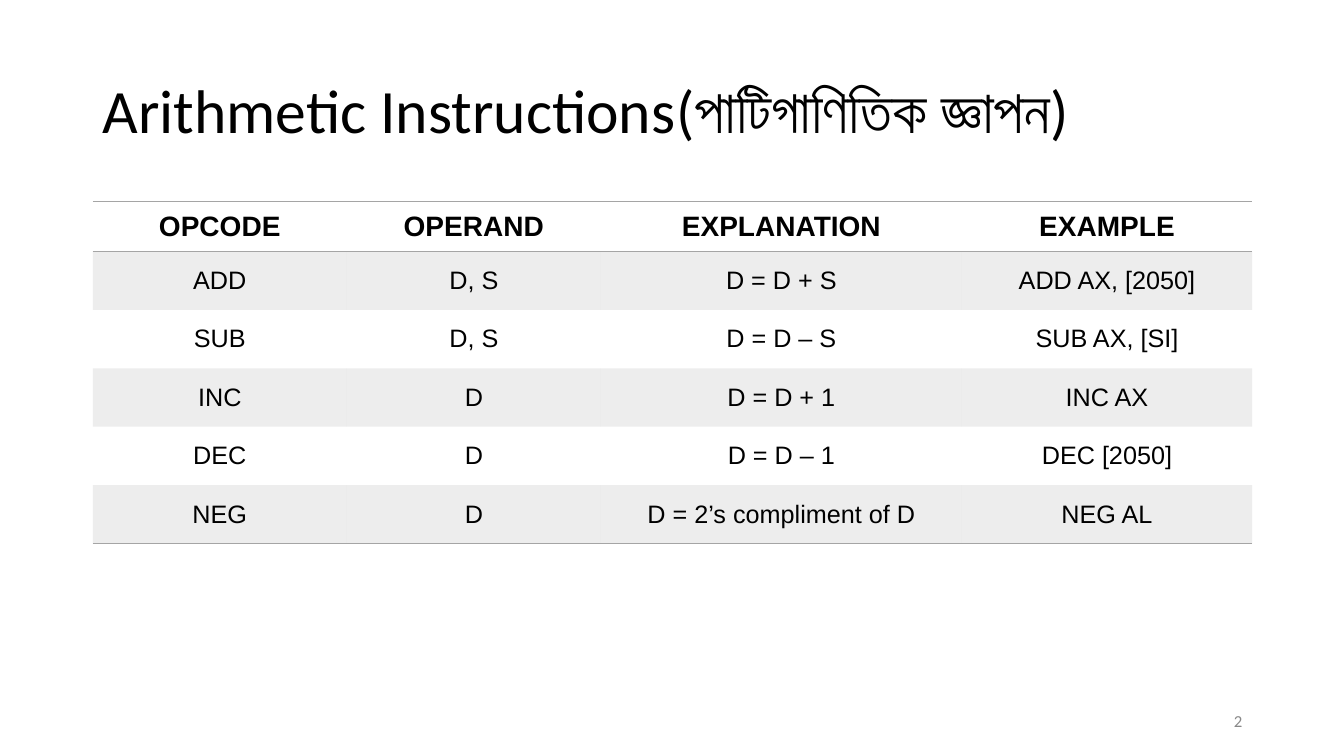
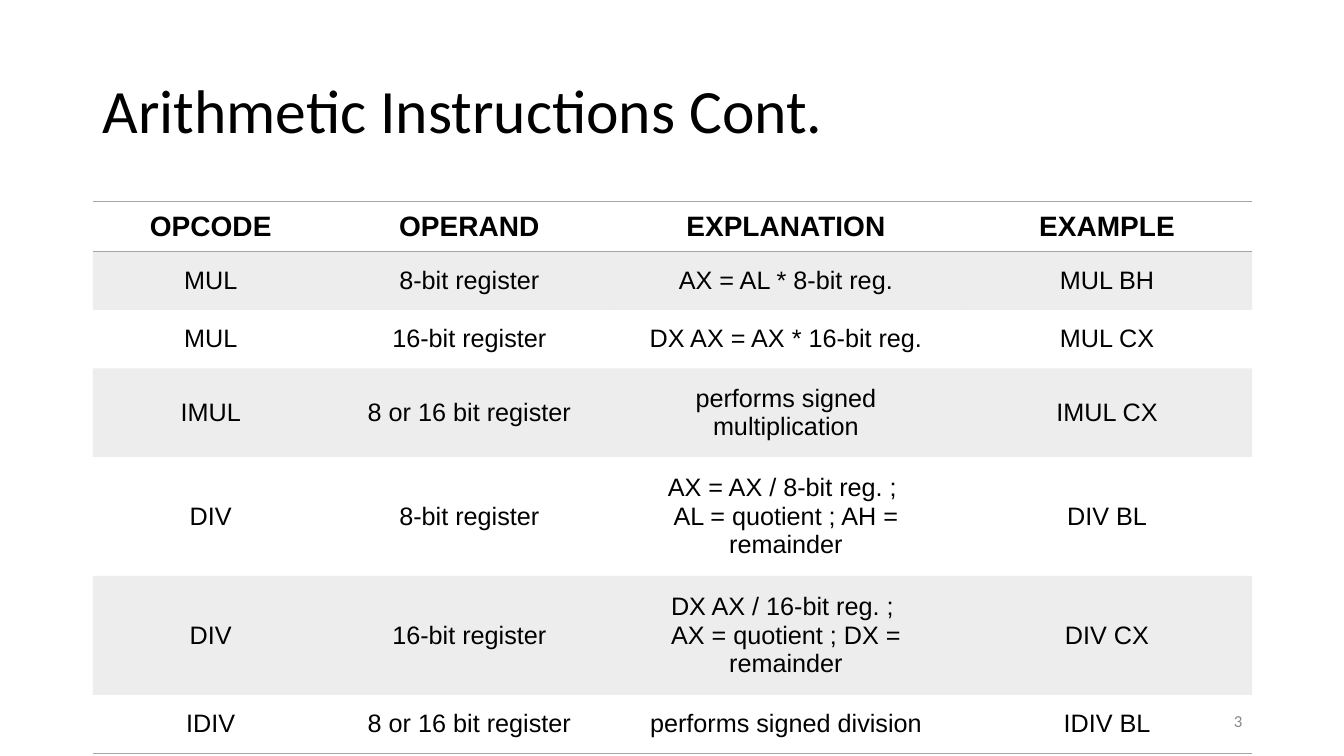
from dataclasses import dataclass

from lxml import etree
from pptx import Presentation
from pptx.dml.color import RGBColor
from pptx.enum.text import MSO_ANCHOR, PP_ALIGN
from pptx.oxml.ns import qn
from pptx.util import Inches, Pt

MIDDLE = MSO_ANCHOR.MIDDLE
LEFT, CENTER, RIGHT = PP_ALIGN.LEFT, PP_ALIGN.CENTER, PP_ALIGN.RIGHT
BLANK_LAYOUT = 6
NO_GRID_STYLE = "{2D5ABB26-0587-4C30-8999-92F81FD0307C}"


@dataclass(frozen=True)
class Theme:
    ink: str = "000000"
    rule: str = "A5A5A5"
    muted: str = "888888"
    band_opacity: int = 20
    rule_width: float = 1
    heading_font: str = "Calibri"
    table_font: str = "Arial"
    title_size: int = 44
    bengali_size: int = 43
    header_size: int = 20
    body_size: int = 18
    number_size: int = 12


class Deck:
    """Holds the theme and the slide being built."""

    margin, content_width = 0.92, 11.5
    table_top, header_height = 2, 0.48
    row_padding, line_height = 0.29, 0.28

    def __init__(self, theme):
        self.theme = theme
        self.presentation = Presentation()
        self.presentation.slide_width = Inches(13.33)
        self.presentation.slide_height = Inches(7.5)
        self.slide = None

    def add_slide(self):
        layout = self.presentation.slide_layouts[BLANK_LAYOUT]
        self.slide = self.presentation.slides.add_slide(layout)

    def style(self, paragraph, font, color, align, size=None, bold=False):
        paragraph.alignment = align
        paragraph.font.name = font
        paragraph.font.color.rgb = RGBColor.from_string(color)
        paragraph.font.bold = bold
        if size:
            paragraph.font.size = Pt(size)

    def text_box(self, left, top, width, height):
        """Add a wrapped, middle-anchored box and return its paragraph."""
        frame = self.slide.shapes.add_textbox(
            Inches(left), Inches(top), Inches(width), Inches(height)).text_frame
        frame.word_wrap = True
        frame.vertical_anchor = MIDDLE
        return frame.paragraphs[0]

    def title(self, english, bengali=""):
        theme = self.theme
        heading = self.text_box(self.margin, 0.4, self.content_width, 1.45)
        self.style(heading, theme.heading_font, theme.ink, LEFT)
        heading.line_spacing = 0.9
        for wording, size in ((english, theme.title_size),
                              (bengali, theme.bengali_size)):
            if wording:
                run = heading.add_run()
                run.text = wording
                run.font.size = Pt(size)

    def page_number(self, number):
        theme = self.theme
        width = 3
        left = self.margin + self.content_width - width
        footer = self.text_box(left, 6.95, width, 0.4)
        footer.text = str(number)
        self.style(footer, theme.heading_font, theme.muted, RIGHT,
                   theme.number_size)

    def cell(self, cell, wording, header, banded):
        theme = self.theme
        cell.text = wording
        cell.vertical_anchor = MIDDLE
        side, vertical = (0.08, 0.08) if header else (0.1, 0.14)
        cell.margin_left = cell.margin_right = Inches(side)
        cell.margin_top = cell.margin_bottom = Inches(vertical)
        size = theme.header_size if header else theme.body_size
        for paragraph in cell.text_frame.paragraphs:
            self.style(paragraph, theme.table_font, theme.ink, CENTER,
                       size, header)
        if banded:
            cell.fill.solid()
            cell.fill.fore_color.rgb = RGBColor.from_string(theme.rule)
            tint = cell._tc.tcPr.find(".//" + qn("a:srgbClr"))
            etree.SubElement(tint, qn("a:alpha"),
                             val=str(theme.band_opacity * 1000))
        else:
            cell.fill.background()

    def cell_rules(self, cell, edges):
        """Draw the named edges; they must precede the fill in the cell."""
        properties = cell._tc.get_or_add_tcPr()
        for position, edge in enumerate(edges):
            line = etree.Element(qn(f"a:{edge}"),
                                 w=str(Pt(self.theme.rule_width)))
            paint = etree.SubElement(line, qn("a:solidFill"))
            etree.SubElement(paint, qn("a:srgbClr"), val=self.theme.rule)
            properties.insert(position, line)

    def table(self, column_widths, rows, line_counts):
        """Build a table whose body rows fit their counts of text lines."""
        heights = [self.header_height] + [
            self.row_padding + self.line_height * lines
            for lines in line_counts]
        table = self.slide.shapes.add_table(
            len(rows), len(column_widths),
            Inches(self.margin), Inches(self.table_top),
            Inches(sum(column_widths)), Inches(sum(heights))).table
        table.horz_banding = False
        table._tbl.tblPr.find(qn("a:tableStyleId")).text = NO_GRID_STYLE
        for column, width in zip(table.columns, column_widths):
            column.width = Inches(width)
        for row, height in zip(table.rows, heights):
            row.height = Inches(height)

        last = len(rows) - 1
        edges_by_row = {0: ("lnT", "lnB"), last: ("lnB",)}
        for r, wordings in enumerate(rows):
            for c, wording in enumerate(wordings):
                cell = table.cell(r, c)
                self.cell(cell, wording, header=r == 0, banded=r % 2 == 1)
                self.cell_rules(cell, edges_by_row.get(r, ()))


HEADINGS = ("OPCODE", "OPERAND", "EXPLANATION", "EXAMPLE")

BASIC_INSTRUCTIONS = (
    ("ADD", "D, S", "D = D + S", "ADD AX, [2050]"),
    ("SUB", "D, S", "D = D – S", "SUB AX, [SI]"),
    ("INC", "D", "D = D + 1", "INC AX"),
    ("DEC", "D", "D = D – 1", "DEC [2050]"),
    ("NEG", "D", "D = 2’s compliment of D", "NEG AL"),
)

MULTIPLY_DIVIDE_INSTRUCTIONS = (
    ("MUL", "8-bit register", "AX = AL * 8-bit reg.", "MUL BH"),
    ("MUL", "16-bit register", "DX AX = AX * 16-bit reg.", "MUL CX"),
    ("IMUL", "8 or 16 bit register", "performs signed multiplication",
     "IMUL CX"),
    ("DIV", "8-bit register",
     "AX = AX / 8-bit reg. ; \nAL = quotient ; AH = remainder", "DIV BL"),
    ("DIV", "16-bit register",
     "DX AX / 16-bit reg. ; \nAX = quotient ; DX = remainder", "DIV CX"),
    ("IDIV", "8 or 16 bit register", "performs signed division", "IDIV BL"),
)

# Title parts, column widths, instructions and their line counts, per slide
PAGES = (
    (("Arithmetic Instructions", "(পাটিগাণিতিক জ্ঞাপন)"),
     (2.52, 2.52, 3.58, 2.88), BASIC_INSTRUCTIONS, (1, 1, 1, 1, 1)),
    (("Arithmetic Instructions Cont.",),
     (2.34, 2.79, 3.49, 2.88), MULTIPLY_DIVIDE_INSTRUCTIONS,
     (1, 1, 2, 3, 3, 1)),
)
FIRST_PAGE = 2


def main():
    deck = Deck(Theme())
    for number, page in enumerate(PAGES, FIRST_PAGE):
        title, widths, instructions, line_counts = page
        deck.add_slide()
        deck.title(*title)
        deck.table(widths, (HEADINGS, *instructions), line_counts)
        deck.page_number(number)
    deck.presentation.save("out.pptx")


if __name__ == "__main__":
    main()
